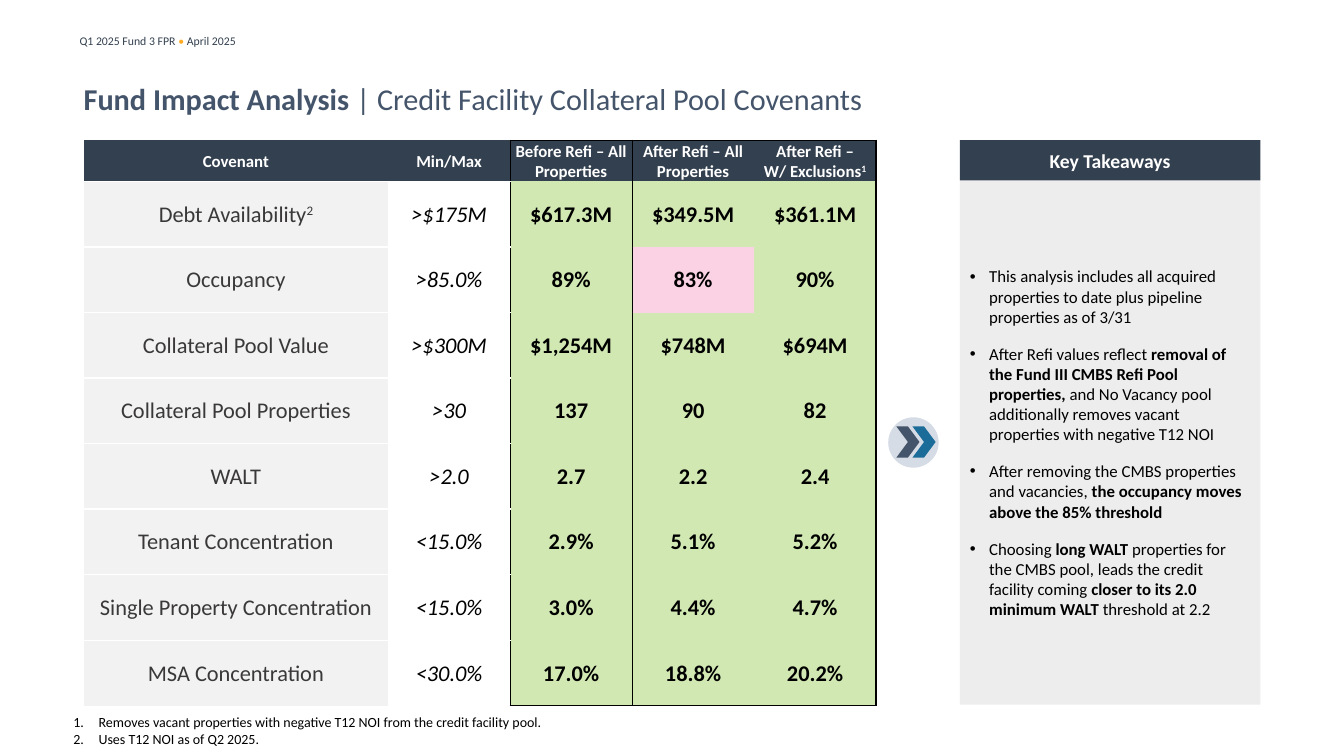
"""Build the credit facility covenant slide with its table and key takeaways."""
import dataclasses
import typing

import pptx
import pptx.dml.color
import pptx.enum.shapes
import pptx.enum.text
import pptx.oxml
import pptx.oxml.ns
import pptx.util

Inches = pptx.util.Inches
Pt = pptx.util.Pt
Align = pptx.enum.text.PP_ALIGN
Anchor = pptx.enum.text.MSO_ANCHOR
Preset = pptx.enum.shapes.MSO_SHAPE
qn = pptx.oxml.ns.qn

FONT = "Calibri"
NO_GRID_STYLE = "{2D5ABB26-0587-4C30-8999-92F81FD0307C}"
COLORS = {
    "navy": "33404F", "slate": "44546A", "blue": "1C6C99", "mist": "D6DCE5",
    "amber": "FFAB21", "white": "FFFFFF", "black": "000000", "charcoal": "3A3838",
    "label": "F2F2F2", "panel": "EDEDED", "pass": "D1E8B2", "fail": "FBD2E4",
}


class Span(typing.NamedTuple):
    text: str
    bold: typing.Optional[bool] = None
    color: typing.Optional[str] = None
    raised: bool = False


class Style(typing.NamedTuple):
    size: float
    color: str
    bold: bool = False
    italic: bool = False
    align: Align = Align.LEFT


class ListFormat(typing.NamedTuple):
    indent: float
    marker: str
    gap: float = 0


@dataclasses.dataclass
class Box:
    left: float
    top: float
    width: float
    height: float

    def lengths(self) -> tuple:
        return tuple(Inches(value) for value in dataclasses.astuple(self))


@dataclasses.dataclass
class Mark:
    preset: Preset
    box: Box
    color: str


Line = typing.List[Span]

HEADER = [[Span("Covenant")], [Span("Min/Max")], [Span("Before Refi – All Properties")],
          [Span("After Refi – All Properties")],
          [Span("After Refi –"), Span("\n"), Span("W/ Exclusions"), Span("1", raised=True)]]
COVENANTS = [
    ("Debt Availability", ">$175M", "$617.3M", "$349.5M", "$361.1M"),
    ("Occupancy", ">85.0%", "89%", "83%", "90%"),
    ("Collateral Pool Value", ">$300M", "$1,254M", "$748M", "$694M"),
    ("Collateral Pool Properties", ">30", "137", "90", "82"),
    ("WALT", ">2.0", "2.7", "2.2", "2.4"),
    ("Tenant Concentration", "<15.0%", "2.9%", "5.1%", "5.2%"),
    ("Single Property Concentration", "<15.0%", "3.0%", "4.4%", "4.7%"),
    ("MSA Concentration", "<30.0%", "17.0%", "18.8%", "20.2%"),
]
FAILED = (2, 3)
COLUMN_WIDTHS = [3.02] + [1.21] * 4
ROW_HEIGHTS = [0.41] + [0.65] * len(COVENANTS)
FIRST_RESULT = 2
LAST_COLUMN = len(COLUMN_WIDTHS) - 1

TAKEAWAYS = [
    [Span("This analysis includes all acquired properties to date plus pipeline properties as of 3/31")],
    [Span("After Refi values reflect "),
     Span("removal of the Fund III CMBS Refi Pool properties, ", True),
     Span("and No Vacancy pool additionally removes vacant properties with negative T12 NOI")],
    [Span("After removing the CMBS properties and vacancies, "),
     Span("the occupancy moves above the 85% threshold", True)],
    [Span("Choosing "), Span("long WALT ", True),
     Span("properties for the CMBS pool, leads the credit facility coming "),
     Span("closer to its 2.0 minimum WALT", True), Span(" threshold at 2.2")],
]
FOOTNOTES = [
    [Span("Removes vacant properties with negative T12 NOI from the credit facility pool.")],
    [Span("Uses T12 NOI as of Q2 2025.")],
]
ARROW_MARKS = [
    Mark(Preset.OVAL, Box(8.81, 4.14, 0.5, 0.5), "mist"),
    Mark(Preset.CHEVRON, Box(8.89, 4.23, 0.23, 0.31), "slate"),
    Mark(Preset.CHEVRON, Box(9.05, 4.23, 0.23, 0.31), "blue"),
]


def rgb(name: str) -> pptx.dml.color.RGBColor:
    """Look up a named colour."""
    return pptx.dml.color.RGBColor.from_string(COLORS[name])


def paint(item, color: str) -> None:
    """Give a shape or cell a solid fill."""
    item.fill.solid()
    item.fill.fore_color.rgb = rgb(color)


def write(frame, lines: typing.List[Line], style: Style,
          listing: typing.Optional[ListFormat] = None) -> None:
    """Fill a text frame with styled paragraphs, as a list if asked."""
    frame.word_wrap = True
    for index, line in enumerate(lines):
        para = frame.add_paragraph() if index else frame.paragraphs[0]
        para.alignment = style.align
        para.space_before = Pt(listing.gap if listing and index else 0)
        if listing:
            properties = para._p.get_or_add_pPr()
            properties.set("marL", str(Inches(listing.indent)))
            properties.set("indent", str(-Inches(listing.indent)))
            properties.append(pptx.oxml.parse_xml(
                f'<a:{listing.marker} {pptx.oxml.ns.nsdecls("a")}/>'))
        font = para.font
        font.name, font.size, font.color.rgb = FONT, Pt(style.size), rgb(style.color)
        font.bold, font.italic = style.bold, style.italic
        for part in line:
            span = para.add_run()
            span.text = part.text
            if part.bold is not None:
                span.font.bold = part.bold
            if part.color:
                span.font.color.rgb = rgb(part.color)
            if part.raised:
                span._r.get_or_add_rPr().set("baseline", "30000")


def add_block(shapes, mark: Mark):
    """Draw a plain filled preset shape."""
    block = shapes.add_shape(mark.preset, *mark.box.lengths())
    block.shadow.inherit = False
    block.line.fill.background()
    paint(block, mark.color)
    return block


def cell_edges(row: int, column: int) -> typing.Dict[str, str]:
    """Choose border colours: a black frame on results, white rules elsewhere."""
    last_row = len(COVENANTS)
    result = column >= FIRST_RESULT
    rules = [
        ("lnL", column == FIRST_RESULT, "black"),
        ("lnR", column in (FIRST_RESULT - 1, LAST_COLUMN), "black"),
        ("lnT", row == 0 if result else row > 0, "black" if result else "white"),
        ("lnB", row == last_row if result else row < last_row, "black" if result else "white"),
    ]
    return {side: color for side, shown, color in rules if shown}


def cell_look(row: int, column: int) -> typing.Tuple[str, Style]:
    """Choose the fill and text style of a table cell."""
    if row == 0:
        return "navy", Style(12, "white", bold=True, align=Align.CENTER)
    if column == 0:
        return "label", Style(16, "charcoal", align=Align.CENTER)
    if column < FIRST_RESULT:
        return "white", Style(16, "black", italic=True, align=Align.CENTER)
    fill = "fail" if (row, column) == FAILED else "pass"
    return fill, Style(16, "black", bold=True, align=Align.CENTER)


def split_lines(spans: Line) -> typing.List[Line]:
    """Break spans into paragraphs at newline spans."""
    lines: typing.List[Line] = [[]]
    for span in spans:
        if span.text == "\n":
            lines.append([])
        else:
            lines[-1].append(span)
    return lines


def add_covenants(page) -> None:
    """Add the covenant table."""
    rows = [HEADER] + [[[Span(text)] for text in record] for record in COVENANTS]
    rows[1][0].append(Span("2", raised=True))
    box = Box(0.83, 1.39, sum(COLUMN_WIDTHS), sum(ROW_HEIGHTS))
    frame = page.shapes.add_table(len(rows), len(COLUMN_WIDTHS), *box.lengths())
    table = frame.table
    table.first_row = table.horz_banding = False
    next(frame.element.iter(qn("a:tableStyleId"))).text = NO_GRID_STYLE
    for column, width in zip(table.columns, COLUMN_WIDTHS):
        column.width = Inches(width)
    for row, height in zip(table.rows, ROW_HEIGHTS):
        row.height = Inches(height)
    for row, record in enumerate(rows):
        for column, spans in enumerate(record):
            cell = table.cell(row, column)
            fill, style = cell_look(row, column)
            cell.vertical_anchor = Anchor.MIDDLE
            cell.margin_left = cell.margin_right = cell.margin_top = Inches(0.01)
            cell.margin_bottom = 0
            write(cell.text_frame, split_lines(spans), style)
            paint(cell, fill)
            properties = cell._tc.get_or_add_tcPr()
            for index, (side, color) in enumerate(cell_edges(row, column).items()):
                properties.insert(index, pptx.oxml.parse_xml(
                    f'<a:{side} {pptx.oxml.ns.nsdecls("a")} w="{Pt(1)}"><a:solidFill>'
                    f'<a:srgbClr val="{COLORS[color]}"/></a:solidFill></a:{side}>'))


def fit_placeholder(holder, box: Box) -> None:
    """Move a placeholder and centre its text vertically."""
    holder.left, holder.top, holder.width, holder.height = box.lengths()
    holder.text_frame.auto_size = pptx.enum.text.MSO_AUTO_SIZE.NONE
    holder.text_frame.vertical_anchor = Anchor.MIDDLE


def main() -> None:
    """Build and save the deck."""
    deck = pptx.Presentation()
    deck.slide_width, deck.slide_height = Inches(13.33), Inches(7.5)
    page = deck.slides.add_slide(deck.slide_layouts[1])

    title, body = page.shapes.title, page.placeholders[1]
    fit_placeholder(title, Box(0.83, 0.6, 11.02, 0.75))
    frame = title.text_frame
    frame.margin_left = frame.margin_right = frame.margin_top = frame.margin_bottom = 0
    write(frame, [[Span("Fund Impact Analysis ", True),
                   Span("| Credit Facility Collateral Pool Covenants")]], Style(21.6, "slate"))
    fit_placeholder(body, Box(9.52, 1.79, 2.98, 5.2))
    paint(body, "panel")
    write(body.text_frame, TAKEAWAYS, Style(12, "black"), ListFormat(0.19, 'buChar char="•"', 12))

    running_head = page.shapes.add_textbox(*Box(0.69, 0.29, 4.51, 0.24).lengths())
    write(running_head.text_frame, [[Span("Q1 2025 Fund 3 FPR "), Span("• ", color="amber"),
                                     Span("April 2025")]], Style(8.4, "navy"))
    add_covenants(page)
    heading = add_block(page.shapes, Mark(Preset.RECTANGLE, Box(9.52, 1.39, 2.98, 0.4), "navy"))
    heading.text_frame.vertical_anchor = Anchor.MIDDLE
    write(heading.text_frame, [[Span("Key Takeaways")]],
          Style(14, "white", bold=True, align=Align.CENTER))
    arrow = page.shapes.add_group_shape()
    for mark in ARROW_MARKS:
        add_block(arrow.shapes, mark)
    notes = page.shapes.add_textbox(*Box(0.63, 7.03, 11.6, 0.44).lengths())
    write(notes.text_frame, FOOTNOTES, Style(10, "black"),
          ListFormat(0.25, 'buAutoNum type="arabicPeriod"'))
    deck.save("out.pptx")


if __name__ == "__main__":
    main()
